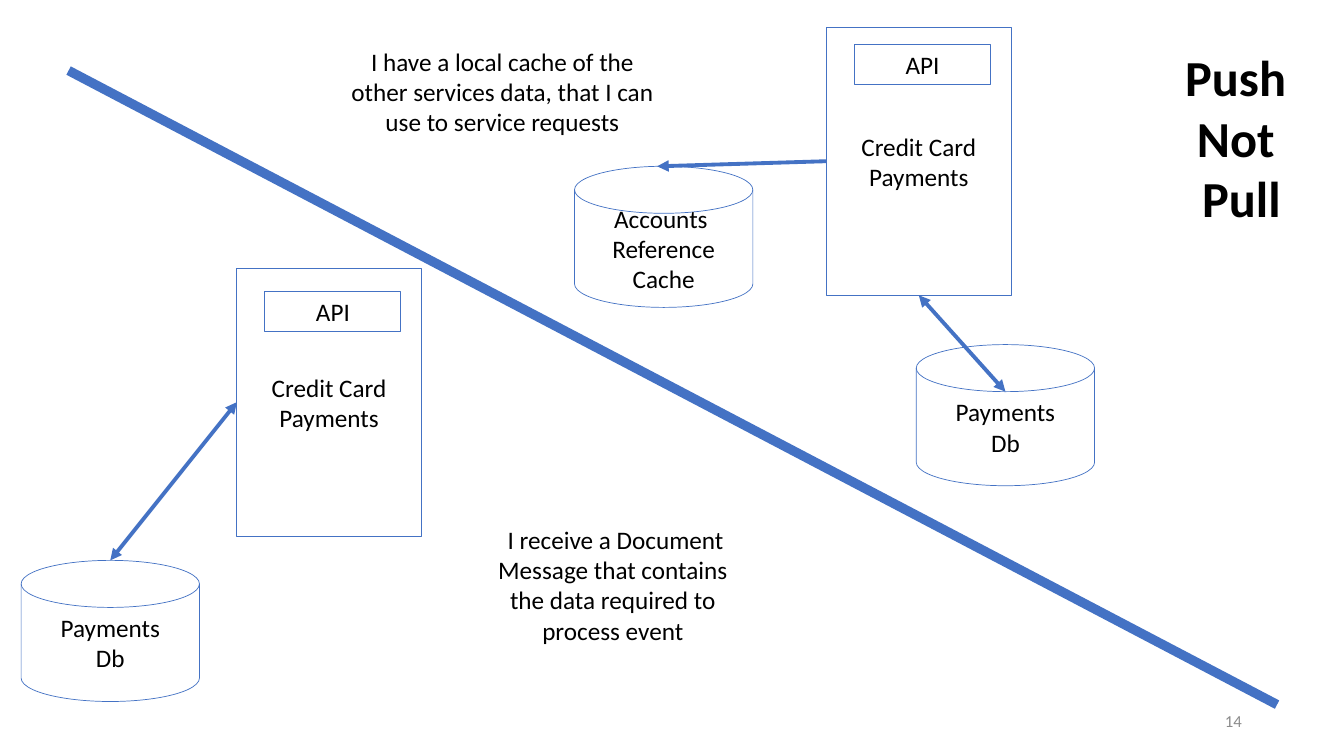
from dataclasses import dataclass

from lxml.etree import SubElement
from pptx import Presentation
from pptx.dml.color import RGBColor
from pptx.enum.shapes import MSO_CONNECTOR, MSO_SHAPE
from pptx.enum.text import MSO_ANCHOR, PP_ALIGN
from pptx.oxml.ns import qn
from pptx.util import Pt


@dataclass(frozen=True)
class Theme:
    font: str = "Calibri"
    blue: RGBColor = RGBColor(0x44, 0x72, 0xC4)
    black: RGBColor = RGBColor(0, 0, 0)
    grey: RGBColor = RGBColor(0x8C, 0x8C, 0x8C)
    title: int = 36
    body: int = 18
    small: int = 12


THEME = Theme()
CARD = (131.8, 191.5)
DISK = (127.4, 100.8)
LABEL = (97.2, 29)


def write(shape, lines, size=THEME.body, color=THEME.black, bold=False,
          align=PP_ALIGN.CENTER, anchor=MSO_ANCHOR.TOP):
    frame = shape.text_frame
    frame.word_wrap = True
    frame.vertical_anchor = anchor
    for i, line in enumerate(lines):
        para = frame.add_paragraph() if i else frame.paragraphs[0]
        para.alignment = align
        run = para.add_run()
        run.text = line
        run.font.name = THEME.font
        run.font.size = Pt(size)
        run.font.bold = bold
        run.font.color.rgb = color


def add_note(slide, box, lines, **style):
    note = slide.shapes.add_textbox(*map(Pt, box))
    write(note, lines, **style)


def add_title(slide, box, lines):
    title = slide.shapes.title
    title.left, title.top, title.width, title.height = map(Pt, box)
    write(title, lines, size=THEME.title, bold=True)


def add_block(slide, kind, box, lines, width=0.5, anchor=MSO_ANCHOR.MIDDLE):
    block = slide.shapes.add_shape(kind, *map(Pt, box))
    block.shadow.inherit = False
    block.fill.background()
    block.line.color.rgb = THEME.blue
    block.line.width = Pt(width)
    write(block, lines, anchor=anchor)
    return block


def add_disk(slide, left, top, lines):
    return add_block(slide, MSO_SHAPE.FLOWCHART_MAGNETIC_DISK,
                     (left, top, *DISK), lines)


def add_card(slide, left, top, inset):
    card = add_block(slide, MSO_SHAPE.RECTANGLE, (left, top, *CARD),
                     ["Credit Card", "Payments"])
    add_block(slide, MSO_SHAPE.RECTANGLE,
              (left + 20, top + inset, *LABEL), ["API"],
              width=0.75, anchor=MSO_ANCHOR.TOP)
    return card


def add_line(slide, start, end, width, heads=()):
    line = slide.shapes.add_connector(MSO_CONNECTOR.STRAIGHT,
                                      *map(Pt, (*start, *end)))
    line.line.color.rgb = THEME.blue
    line.line.width = Pt(width)
    stroke = line.line._get_or_add_ln()
    for head in heads:
        SubElement(stroke, qn(f"a:{head}"), type="triangle")
    SubElement(line._element.spPr, qn("a:effectLst"))
    return line


def add_link(slide, card, side, disk, spot, rise=0):
    middle = disk.left + disk.width // 2
    line = add_line(slide, (0, 0), (0, 0), 2.75, ("headEnd", "tailEnd"))
    line.begin_connect(card, side)
    line.end_connect(disk, spot)
    line.end_x = middle
    line.end_y = disk.top + int(disk.height * rise)


def add_pull(slide, left, top):
    card = add_card(slide, left + 575.3, top, 12.2)
    cache = add_disk(slide, left + 395.3, top + 99.4,
                     ["Accounts ", "Reference", "Cache"])
    store = add_disk(slide, left + 639.4, top + 226.8, ["Payments", "Db"])
    add_link(slide, card, 2, store, 0, 1 / 3)
    tip = (left + 454.3, cache.top.pt)
    add_line(slide, tip, (card.left.pt, top + CARD[1] / 2), 2.75, ("headEnd",))
    add_note(slide, (left + 222.5, top + 10.1, 242.6, 72.7),
             ["I have a local cache of the other services data, "
              "that I can use to service requests"])


def add_push(slide, left, top):
    card = add_card(slide, left + 154.1, top, 16.6)
    store = add_disk(slide, left, top + 208.8, ["Payments", "Db"])
    add_link(slide, card, 1, store, 1)
    add_note(slide, (left + 323.3, top + 179.3, 198.7, 94.3),
             [" I receive a Document Message that contains "
              "the data required to process event"])


def main():
    deck = Presentation()
    deck.slide_width, deck.slide_height = Pt(960), Pt(540)
    slide = deck.slides.add_slide(deck.slide_layouts[5])
    add_line(slide, (49, 50.4), (912.2, 503.3), 6.75)
    add_pull(slide, 15.1, 19.4)
    add_push(slide, 15.1, 191.5)
    add_title(slide, (811.4, 29.5, 142.6, 138.2), ["Push", "Not", " Pull"])
    add_note(slide, (678.2, 500.4, 216, 28.8), ["14"], size=THEME.small,
             color=THEME.grey, align=PP_ALIGN.RIGHT, anchor=MSO_ANCHOR.MIDDLE)
    deck.save("out.pptx")


if __name__ == "__main__":
    main()
